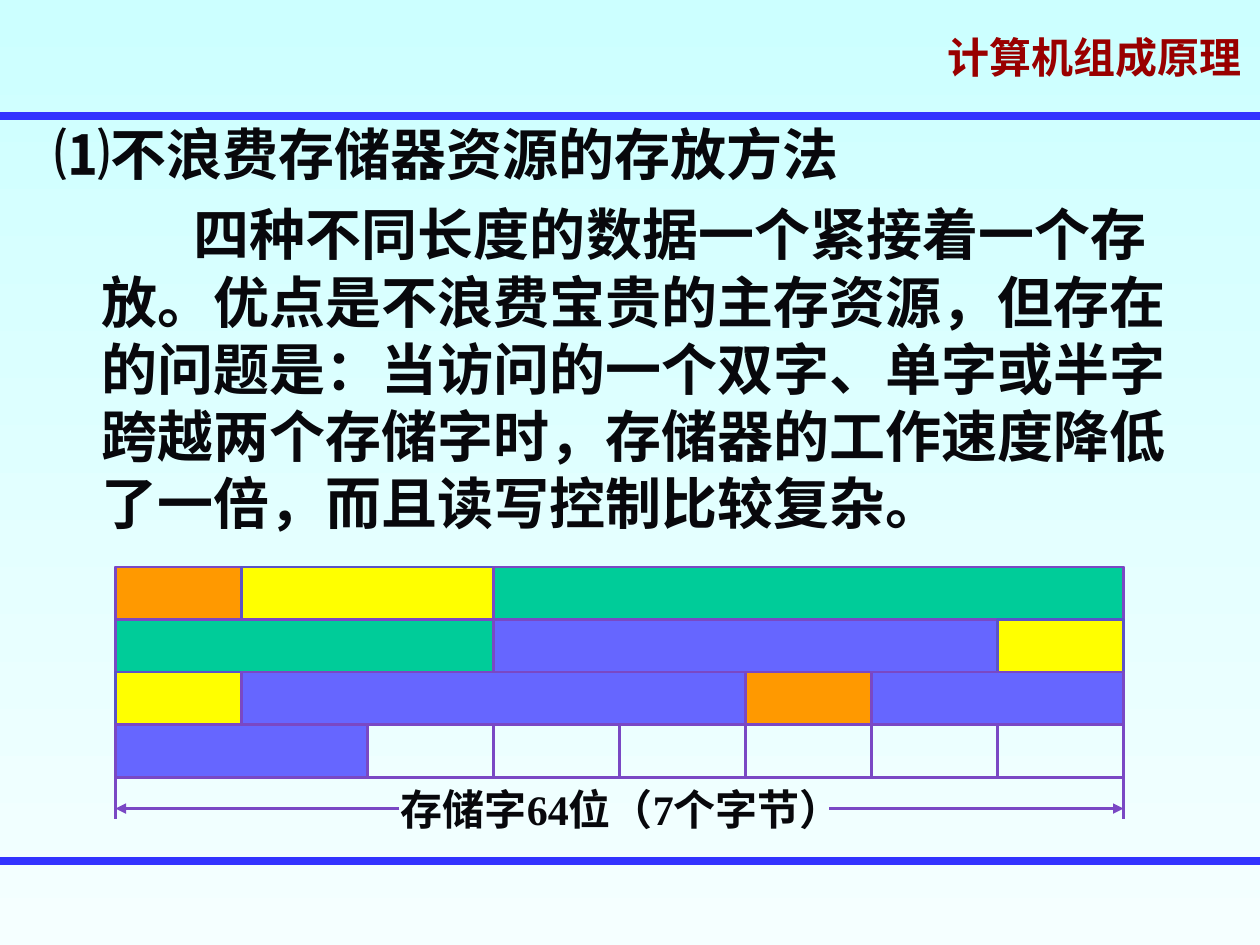
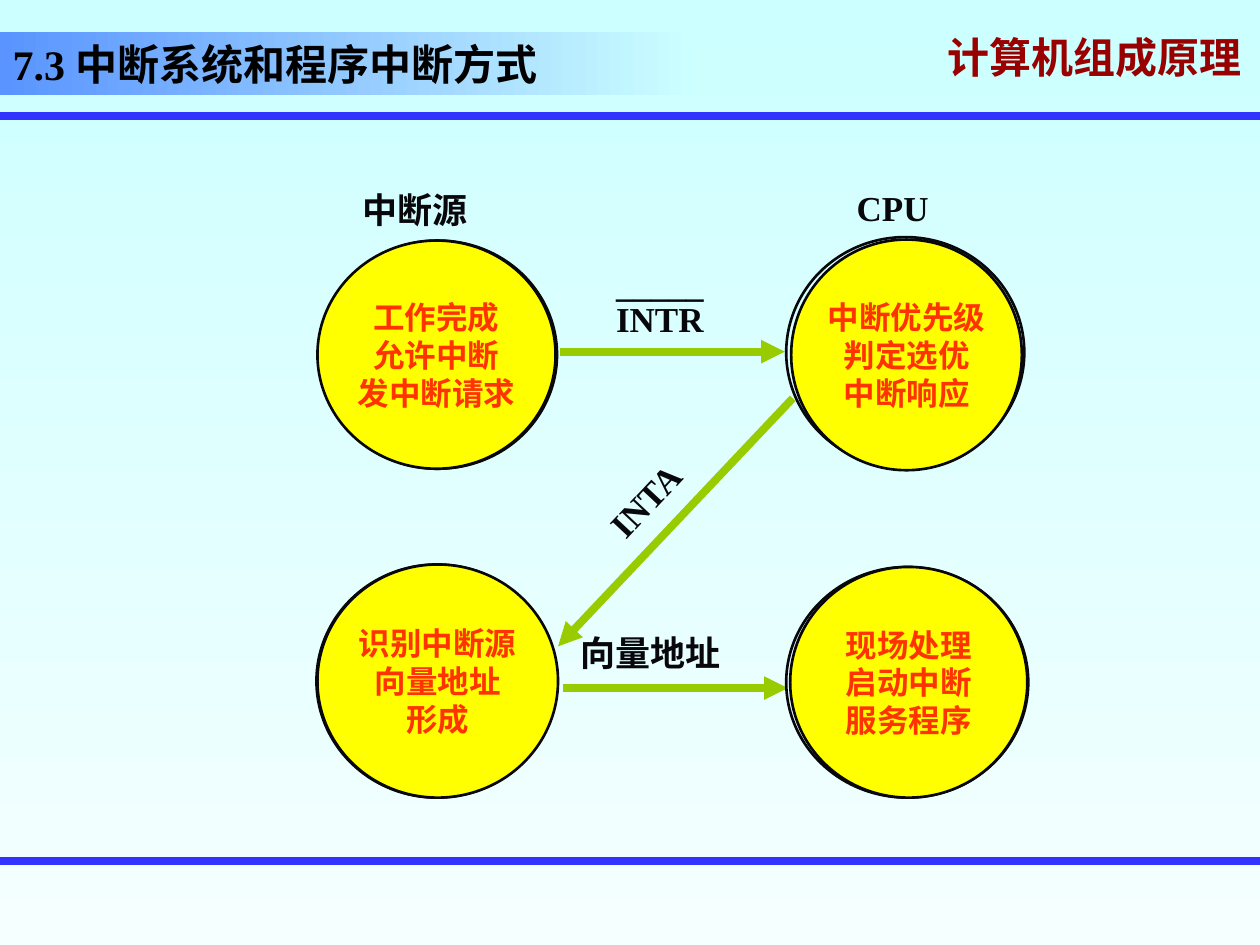
from lxml import etree
from pptx import Presentation
from pptx import util as u
from pptx.dml.color import RGBColor
from pptx.enum import shapes, text
from pptx.oxml.ns import qn

INK = RGBColor(0x08, 0x08, 0x0C)
BLACK = RGBColor(0, 0, 0)
MAROON = RGBColor(0x99, 0, 0)
BLUE = RGBColor(0x33, 0x33, 0xFF)
SKY = RGBColor(0x59, 0x94, 0xFF)
PALE = RGBColor(0xCC, 0xFF, 0xFF)
MIST = RGBColor(0xF5, 0xFF, 0xFF)
VIOLET = RGBColor(0x7A, 0x48, 0xC4)
INDIGO = RGBColor(0x5B, 0x53, 0xC7)
ORANGE = RGBColor(0xFF, 0x99, 0)
YELLOW = RGBColor(0xFF, 0xFF, 0)
GREEN = RGBColor(0, 0xCC, 0x99)
PERI = RGBColor(0x66, 0x66, 0xFF)
LIME = RGBColor(0x99, 0xCC, 0)
RED = RGBColor(0xFF, 0x33, 0)
LATIN = "Times New Roman"
HAN = "Noto Sans CJK SC"


def write(shape, words, size, color=INK, align=text.PP_ALIGN.LEFT,
          anchor=text.MSO_ANCHOR.TOP, wrap=True):
    frame = shape.text_frame
    frame.text = words
    frame.word_wrap = wrap
    frame.auto_size = text.MSO_AUTO_SIZE.NONE
    frame.vertical_anchor = anchor
    for para in frame.paragraphs:
        para.alignment = align
        for run in para.runs:
            run.font.size = u.Pt(size)
            run.font.bold = True
            run.font.color.rgb = color
            run.font.name = LATIN
            etree.SubElement(run.font._element, qn("a:ea"), typeface=HAN)
    return frame.paragraphs


def draw(slide, x1, y1, x2, y2, color, width, head=False):
    line = slide.shapes.add_connector(
        shapes.MSO_CONNECTOR.STRAIGHT, u.Cm(x1), u.Cm(y1), u.Cm(x2), u.Cm(y2))
    line.line.color.rgb = color
    line.line.width = u.Pt(width)
    props = line._element.spPr
    if head:
        etree.SubElement(props.find(qn("a:ln")), qn("a:tailEnd"), type="triangle")
    etree.SubElement(props, qn("a:effectLst"))


deck = Presentation()
deck.slide_width = u.Cm(25.4)
deck.slide_height = u.Cm(19.05)
back = deck.slide_master.background.fill
back.gradient()
back.gradient_angle = 270
for stop, color in zip(back.gradient_stops, (PALE, MIST)):
    stop.color.rgb = color

store = deck.slides.add_slide(deck.slide_layouts[6])
break_ = deck.slides.add_slide(deck.slide_layouts[5])

for slide in (store, break_):
    brand = slide.shapes.add_textbox(u.Cm(18.85), u.Cm(0.64), u.Cm(6.55), u.Cm(1.27))
    para = write(brand, "计算机组成原理", 24, MAROON, anchor=text.MSO_ANCHOR.MIDDLE)[0]
    para.line_spacing = 0.7
    font = para.runs[0].font
    font.name = HAN
    glow = etree.Element(qn("a:effectLst"))
    shade = etree.SubElement(glow, qn("a:outerShdw"), dist="38100", dir="2700000")
    etree.SubElement(shade, qn("a:srgbClr"), val="808080")
    font._element.find(qn("a:solidFill")).addnext(glow)
    for y in (2.34, 17.35):
        draw(slide, 0, y, 25.4, y, BLUE, 4.5)

# Storage slide
LEFT, TOP, UNIT, ROW = 2.33, 11.43, 2.54, 1.06
RIGHT, BASE = LEFT + 8 * UNIT, TOP + 4 * ROW

body = store.shapes.add_textbox(u.Cm(0.84), u.Cm(2.54), u.Cm(23.44), u.Cm(10))
head, main = write(
    body,
    "⑴不浪费存储器资源的存放方法\n"
    "四种不同长度的数据一个紧接着一个存放。优点是不浪费宝贵的主存资源，"
    "但存在的问题是：当访问的一个双字、单字或半字跨越两个存储字时，"
    "存储器的工作速度降低了一倍，而且读写控制比较复杂。", 32)
head.line_spacing = 0.8
main.space_before = u.Pt(8)
for para, dent in ((head, -0.95), (main, 1.87)):
    props = para._p.get_or_add_pPr()
    props.set("marL", str(u.Cm(0.95)))
    props.set("indent", str(u.Cm(dent)))

for x in range(1, 8):
    draw(store, LEFT + x * UNIT, TOP, LEFT + x * UNIT, BASE, VIOLET, 1.5)
for x in (LEFT, RIGHT):
    draw(store, x, BASE, x, 16.51, VIOLET, 1.5)
draw(store, 8.05, 16.3, LEFT, 16.3, VIOLET, 1.5, True)
draw(store, 16.72, 16.3, RIGHT, 16.3, VIOLET, 1.5, True)
label = store.shapes.add_textbox(u.Cm(7.83), u.Cm(15.66), u.Cm(10.58), u.Cm(1.27))
write(label, "存储字64位（7个字节）", 24)

rows = [
    [(1, ORANGE), (2, YELLOW), (5, GREEN)],
    [(3, GREEN), (4, PERI), (1, YELLOW)],
    [(1, YELLOW), (4, PERI), (1, ORANGE), (2, PERI)],
    [(2, PERI)],
]
for r, row in enumerate(rows):
    col = 0
    for start, span, color in [(0, 8, None)] + [
            (sum(s for s, _ in row[:i]), s, c) for i, (s, c) in enumerate(row)]:
        cell = store.shapes.add_shape(
            shapes.MSO_SHAPE.RECTANGLE, u.Cm(LEFT + start * UNIT),
            u.Cm(TOP + r * ROW), u.Cm(span * UNIT), u.Cm(ROW))
        cell.shadow.inherit = False
        cell.line.color.rgb = INDIGO if color == YELLOW else VIOLET
        cell.line.width = u.Pt(1.5)
        if color is None:
            cell.fill.background()
        else:
            cell.fill.solid()
            cell.fill.fore_color.rgb = color

# Interrupt slide
title = break_.shapes.title
title.left, title.top, title.width, title.height = (
    u.Cm(0), u.Cm(0.64), u.Cm(13.97), u.Cm(1.27))
write(title, "7.3 中断系统和程序中断方式", 24, BLACK,
      text.PP_ALIGN.JUSTIFY, text.MSO_ANCHOR.BOTTOM)
title.fill.gradient()
title.fill.gradient_angle = 0
for stop, color in zip(title.fill.gradient_stops, (SKY, PALE)):
    stop.color.rgb = color

for words, x, y, w in [("中断源", 7.06, 3.68, 4.22), ("CPU", 17.02, 3.63, 4.22),
                       ("向量地址", 11.46, 12.6, 4.62)]:
    tag = break_.shapes.add_textbox(u.Cm(x), u.Cm(y), u.Cm(w), u.Cm(1.12))
    write(tag, words, 20)

intr = break_.shapes.add_textbox(u.Cm(12.17), u.Cm(5.16), u.Cm(3.71), u.Cm(1.73))
name = write(intr, "_____\nINTR", 20)[1]
name.line_spacing = 0.2
name.space_before = u.Pt(12.5)

inta = break_.shapes.add_textbox(u.Cm(11.5), u.Cm(9.52), u.Cm(3), u.Cm(1.12))
inta.rotation = 313.1
write(inta, "INTA", 20, align=text.PP_ALIGN.CENTER, anchor=text.MSO_ANCHOR.MIDDLE)

for ends in [(11.35, 13.87, 15.88, 13.87), (15.98, 8.03, 11.25, 13.03),
             (11.28, 7.09, 15.82, 7.09)]:
    draw(break_, *ends, LIME, 4.5, True)

steps = [
    ("工作完成\n允许中断\n发中断请求", (6.43, 4.85, 4.8, 4.6), (6.4, 4.85, 4.8, 4.6)),
    ("中断优先级\n判定选优\n中断响应", (15.85, 4.78, 4.8, 4.65), (15.95, 4.83, 4.65, 4.65)),
    ("识别中断源\n向量地址\n形成", (6.38, 11.38, 4.85, 4.7), (6.4, 11.38, 4.85, 4.7)),
    ("现场处理\n启动中断\n服务程序", (15.85, 11.43, 4.88, 4.65), (15.93, 11.43, 4.78, 4.65)),
]
for words, *pair in steps:
    for box in pair:
        disc = break_.shapes.add_shape(shapes.MSO_SHAPE.OVAL, *map(u.Cm, box))
        disc.shadow.inherit = False
        disc.fill.background()
        disc.line.color.rgb = INK
        disc.line.width = u.Pt(1.5)
    disc.fill.solid()
    disc.fill.fore_color.rgb = YELLOW
    write(disc, words, 18, RED, text.PP_ALIGN.CENTER, text.MSO_ANCHOR.MIDDLE, False)

deck.save("out.pptx")
